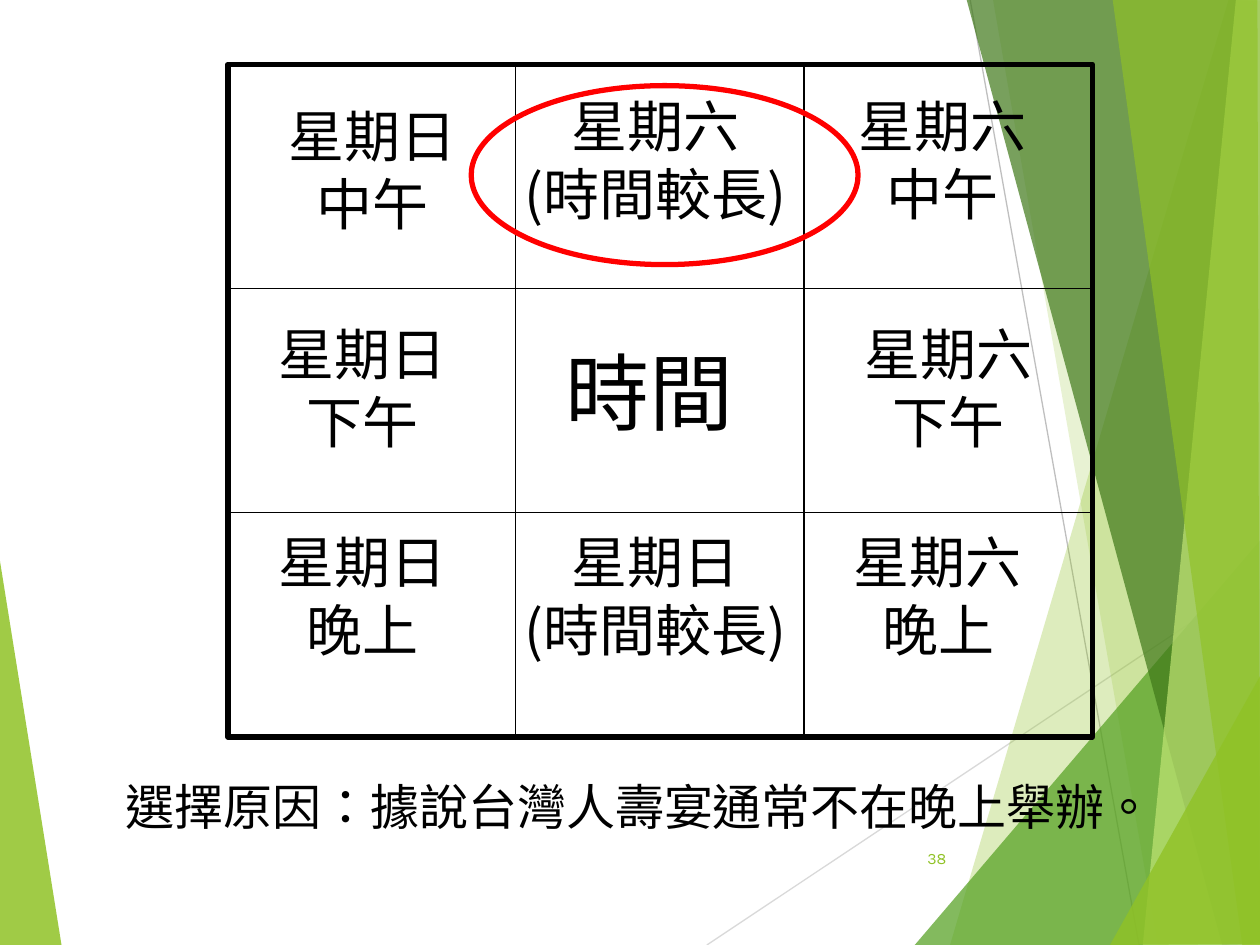
from dataclasses import dataclass

import pptx
import pptx.dml.color
import pptx.enum.shapes
import pptx.enum.text
import pptx.oxml
import pptx.oxml.ns
import pptx.util

PX = 9144  # EMU per px, 100 px to the inch
WIDTH, HEIGHT = 1000, 750

RGB = pptx.dml.color.RGBColor
WHITE = RGB(0xFF, 0xFF, 0xFF)
BLACK = RGB(0x00, 0x00, 0x00)
RED = RGB(0xFF, 0x00, 0x00)
LIME = RGB(0x90, 0xC2, 0x26)
PALE_LIME = RGB(0xC0, 0xE4, 0x74)
GREEN = RGB(0x54, 0xA0, 0x21)
DARK_GREEN = RGB(0x3F, 0x78, 0x19)
LIGHT_GREY = RGB(0xD9, 0xD9, 0xD9)
GREY = RGB(0xBF, 0xBF, 0xBF)

SHAPES = pptx.enum.shapes.MSO_SHAPE
ALIGN = pptx.enum.text.PP_ALIGN
ANCHOR = pptx.enum.text.MSO_ANCHOR
CJK_FONT = "Noto Sans CJK SC"


@dataclass
class Facet:
    points: list[tuple[int, int]]
    color: RGB
    opacity: int


@dataclass
class Rule:
    start: tuple[int, int]
    end: tuple[int, int]
    color: RGB = BLACK


@dataclass
class Label:
    lines: list[str]
    left: int
    top: int
    width: int
    height: int = 117
    size: int = 32
    font: str = CJK_FONT
    color: RGB = BLACK
    align: ALIGN = ALIGN.CENTER
    anchor: ANCHOR = ANCHOR.TOP


def add_child(parent, tag: str, **attributes: str) -> None:
    child = pptx.oxml.parse_xml(f"<{tag} {pptx.oxml.ns.nsdecls('a')}/>")
    for key, value in attributes.items():
        child.set(key, value)
    parent.append(child)


def draw_facet(slide, facet: Facet) -> None:
    first, *rest = facet.points
    builder = slide.shapes.build_freeform(*first, scale=PX)
    builder.add_line_segments(rest, close=True)
    shape = builder.convert_to_shape()
    shape.shadow.inherit = False
    shape.fill.solid()
    shape.fill.fore_color.rgb = facet.color
    shape.line.fill.background()
    color = shape.fill._xPr.find(".//" + pptx.oxml.ns.qn("a:srgbClr"))
    add_child(color, "a:alpha", val=str(facet.opacity * 1000))


def draw_rule(slide, rule: Rule) -> None:
    ends = [value * PX for value in (*rule.start, *rule.end)]
    line = slide.shapes.add_connector(pptx.enum.shapes.MSO_CONNECTOR.STRAIGHT, *ends)
    line.line.color.rgb = rule.color
    line.line.width = pptx.util.Pt(0.75)
    add_child(line._element.spPr, "a:effectLst")


def draw_outline(slide, preset: SHAPES, box: tuple[int, ...], color: RGB) -> None:
    shape = slide.shapes.add_shape(preset, *(value * PX for value in box))
    shape.shadow.inherit = False
    shape.fill.background()
    shape.line.color.rgb = color
    shape.line.width = pptx.util.Pt(3)


def draw_label(slide, label: Label) -> None:
    box = (label.left, label.top, label.width, label.height)
    frame = slide.shapes.add_textbox(*(value * PX for value in box)).text_frame
    frame.word_wrap = True
    frame.vertical_anchor = label.anchor
    font_format = {"size": pptx.util.Pt(label.size), "name": label.font}
    for index, line in enumerate(label.lines):
        paragraph = frame.add_paragraph() if index else frame.paragraphs[0]
        paragraph.alignment = label.align
        run = paragraph.add_run()
        run.text = line
        for attribute, value in font_format.items():
            setattr(run.font, attribute, value)
        run.font.color.rgb = label.color
        properties = run._r.get_or_add_rPr()
        properties.set("lang", "zh-TW")
        if label.font != CJK_FONT:
            continue
        add_child(properties, "a:ea", typeface=CJK_FONT)


# Background facets and the two thin lines between them
LEFT_FACET = Facet([(-1, 439), (49, 751), (-1, 750)], LIME, 85)
BACK_RULES = [
    Rule((561, 750), (1001, 457), LIGHT_GREY),
    Rule((770, 0), (904, 750), GREY),
]
RIGHT_FACETS = [
    Facet([(975, 0), (754, 750), (1002, 751), (1001, 1)], LIME, 30),
    Facet([(788, -1), (919, 750), (1001, 750), (1001, -1)], LIME, 20),
    Facet([(726, 750), (1000, 429), (1001, 750)], GREEN, 72),
    Facet([(767, -1), (970, 750), (1001, 749), (1001, -1)], DARK_GREEN, 70),
    Facet([(981, -1), (907, 750), (1001, 750), (1000, -1)], PALE_LIME, 70),
    Facet([(883, -1), (986, 750), (1000, 750), (998, -1)], LIME, 65),
    Facet([(881, 750), (1001, 535), (1001, 749)], LIME, 80),
]

# Three by three grid of choices
GRID = (181, 51, 686, 534)
GRID_LEFT, GRID_TOP, GRID_WIDTH, GRID_HEIGHT = GRID
GRID_RIGHT, GRID_BOTTOM = GRID_LEFT + GRID_WIDTH, GRID_TOP + GRID_HEIGHT
ROW_EDGES = [GRID_TOP + GRID_HEIGHT * i // 3 for i in (1, 2)]
COLUMN_EDGES = [GRID_LEFT + GRID_WIDTH * i // 3 for i in (1, 2)]
GRID_RULES = [Rule((GRID_LEFT, y), (GRID_RIGHT, y)) for y in ROW_EDGES]
GRID_RULES += [Rule((x, GRID_TOP), (x, GRID_BOTTOM)) for x in COLUMN_EDGES]

CHOSEN = (374, 68, 307, 142)
LABELS = [
    Label(["時間"], 413, 265, 205, height=90, size=48),
    Label(["星期六", "(時間較長)"], 390, 68, 260),
    Label(["星期日", "中午"], 193, 76, 205),
    Label(["星期日", "晚上"], 185, 414, 205),
    Label(["星期六", "中午"], 626, 68, 244),
    Label(["星期日", "下午"], 185, 249, 205),
    Label(["星期日", "(時間較長)"], 390, 414, 260),
    Label(["星期六", "下午"], 650, 249, 205),
    Label(["星期六", "晚上"], 642, 414, 205),
]
REASON = Label(["選擇原因：據說台灣人壽宴通常不在晚上舉辦。"], 90, 611, 851,
               height=57, size=28, font="Arial", align=ALIGN.LEFT)
PAGE_NUMBER = Label(["38"], 705, 661, 56, height=40, size=9, font="Karla",
                    color=LIME, align=ALIGN.RIGHT, anchor=ANCHOR.MIDDLE)


def main() -> None:
    deck = pptx.Presentation()
    deck.slide_width, deck.slide_height = WIDTH * PX, HEIGHT * PX
    slide = deck.slides.add_slide(deck.slide_layouts[6])
    slide.background.fill.solid()
    slide.background.fill.fore_color.rgb = WHITE

    # Background
    draw_facet(slide, LEFT_FACET)
    for rule in BACK_RULES:
        draw_rule(slide, rule)
    for facet in RIGHT_FACETS:
        draw_facet(slide, facet)
    draw_label(slide, PAGE_NUMBER)

    # Grid, its labels and the chosen cell
    draw_outline(slide, SHAPES.RECTANGLE, GRID, BLACK)
    for rule in GRID_RULES:
        draw_rule(slide, rule)
    for label in LABELS:
        draw_label(slide, label)
    draw_outline(slide, SHAPES.OVAL, CHOSEN, RED)

    # Reason for the choice
    draw_label(slide, REASON)

    deck.save("out.pptx")


if __name__ == "__main__":
    main()
